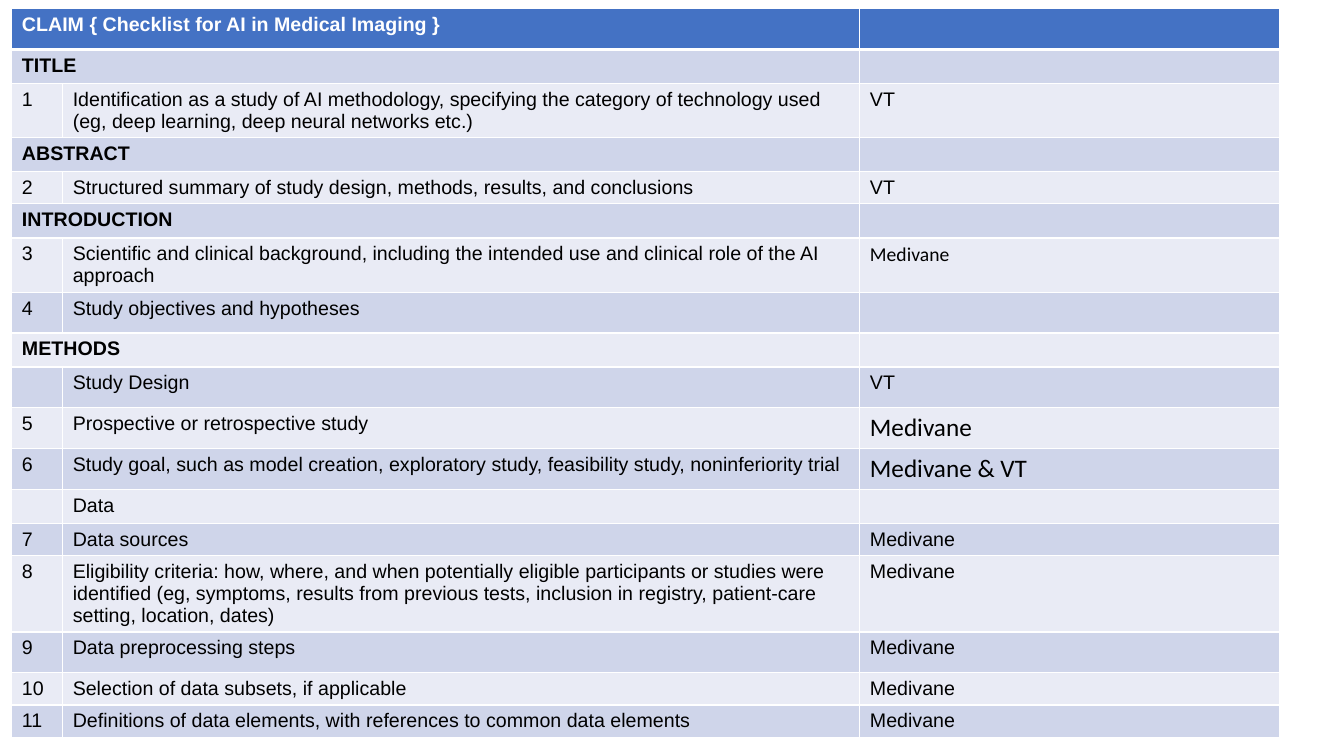
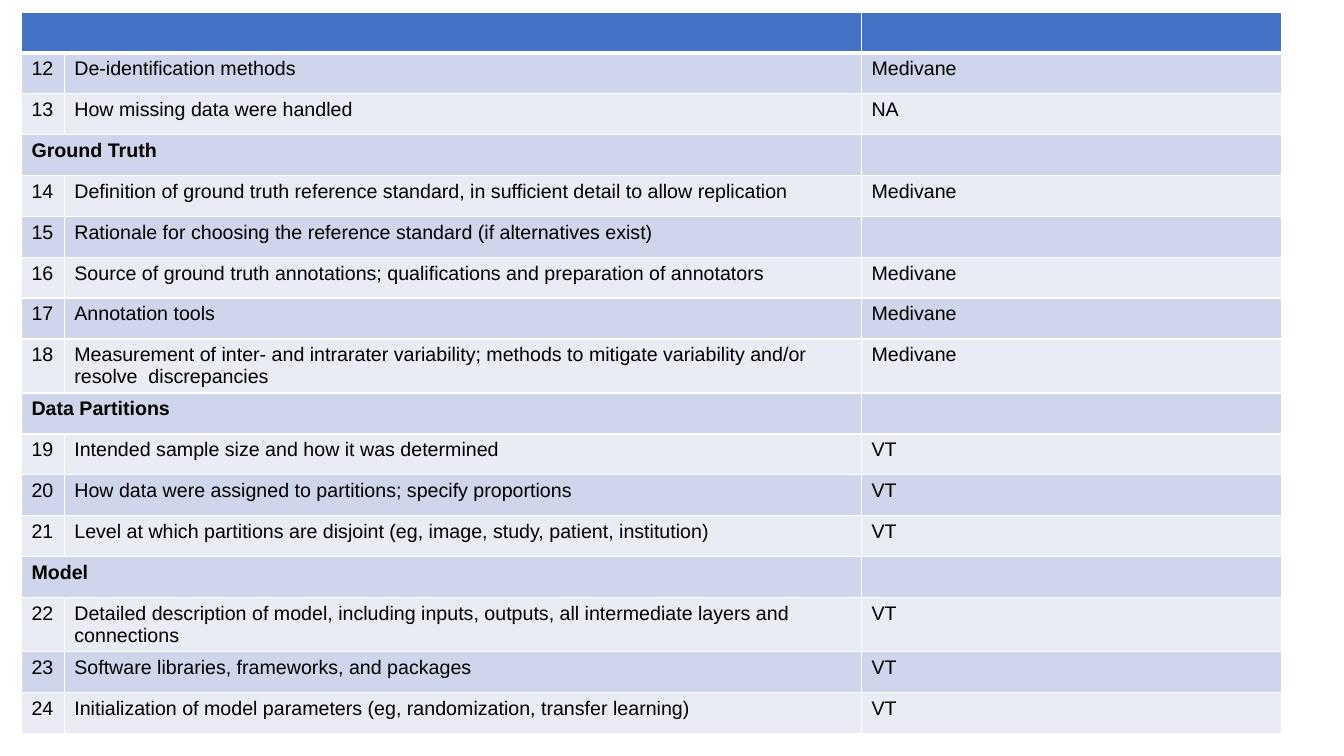
from dataclasses import dataclass

from lxml import etree
from pptx import Presentation
from pptx.dml.color import RGBColor
from pptx.oxml.ns import qn
from pptx.util import Cm, Pt

BLANK_LAYOUT = 6
TALL, MEDIUM, SHORT = 1.03, 0.86, 0.8  # row heights in cm; rows grow with their text


@dataclass(frozen=True)
class Theme:
    header: str = "4472C4"
    bands: tuple = ("E9EBF5", "CFD5EA")  # even rows, odd rows
    border: str = "FFFFFF"
    header_text: str = "FFFFFF"
    body_text: str = "000000"
    font: str = "Arial"
    owner_font: str = "Calibri"
    size: int = 14
    large_size: int = 18
    border_width: float = 1
    header_border_width: float = 3


THEME = Theme()


@dataclass(frozen=True)
class Item:
    """A numbered checklist row and who is responsible for it."""
    number: str
    text: str
    owner: str = ""
    height: float = TALL
    owner_font: str = THEME.font
    owner_size: int = THEME.size


@dataclass(frozen=True)
class Section:
    """A bold heading across the first two columns."""
    text: str
    height: float = TALL


def write_text(cell, text, *, color, font=THEME.font, size=THEME.size, bold=False):
    paragraph = cell.text_frame.paragraphs[0]
    if not text:
        # The size of an empty paragraph still decides the row height
        etree.SubElement(paragraph._p, qn("a:endParaRPr"), sz=str(size * 100))
        return
    run = paragraph.add_run()
    run.text = text
    run.font.name = font
    run.font.size = Pt(size)
    run.font.bold = bold
    run.font.color.rgb = RGBColor.from_string(color)


def set_borders(cell, color, widths):
    """Draw the given sides, named in schema order (lnL, lnR, lnT, lnB)."""
    properties = cell._tc.get_or_add_tcPr()
    for position, (side, width) in enumerate(widths.items()):
        line = etree.Element(qn(f"a:{side}"), w=str(Pt(width)))
        fill = etree.SubElement(line, qn("a:solidFill"))
        etree.SubElement(fill, qn("a:srgbClr"), val=color)
        properties.insert(position, line)


class ChecklistDeck:
    def __init__(self, theme):
        self.theme = theme
        self.presentation = Presentation()
        self.presentation.slide_width = Cm(33.87)
        self.presentation.slide_height = Cm(19.05)
        self.slide = None

    def add_slide(self):
        layout = self.presentation.slide_layouts[BLANK_LAYOUT]
        self.slide = self.presentation.slides.add_slide(layout)

    def add_checklist(self, left, top, column_widths, rows):
        """The first row is the header band."""
        frame = self.slide.shapes.add_table(
            len(rows), len(column_widths), Cm(left), Cm(top),
            Cm(sum(column_widths)), Cm(sum(row.height for row in rows)))
        table = frame.table
        for column, width in zip(table.columns, column_widths):
            column.width = Cm(width)
        for index, row in enumerate(rows):
            table.rows[index].height = Cm(row.height)
            cells = [table.cell(index, column) for column in range(len(column_widths))]
            self.style_row(cells, index)
            self.fill_row(cells, row, is_header=index == 0)

    def style_row(self, cells, index):
        theme = self.theme
        is_header = index == 0
        color = theme.header if is_header else theme.bands[index % 2]
        widths = {"lnL": theme.border_width, "lnR": theme.border_width}
        if is_header:
            widths["lnT"] = theme.border_width
        widths["lnB"] = theme.header_border_width if is_header else theme.border_width
        for cell in cells:
            cell.fill.solid()
            cell.fill.fore_color.rgb = RGBColor.from_string(color)
            set_borders(cell, theme.border, widths)

    def fill_row(self, cells, row, is_header):
        color = self.theme.header_text if is_header else self.theme.body_text
        first, second, owner = cells
        if isinstance(row, Section):
            first.merge(second)
            write_text(first, row.text, color=color, bold=True)
            write_text(second, "", color=color)
            write_text(owner, "", color=color)
        else:
            write_text(first, row.number, color=color)
            write_text(second, row.text, color=color)
            write_text(owner, row.owner, color=color,
                       font=row.owner_font, size=row.owner_size)

    def save(self):
        self.presentation.save("out.pptx")


# Checklist content
PARTNER = "Medivane"
TEAM = "VT"
LARGE_OWNER = {"owner_font": THEME.owner_font, "owner_size": THEME.large_size}

STUDY_ROWS = [
    Section("CLAIM { Checklist for AI in Medical Imaging }"),
    Section("TITLE", SHORT),
    Item("1", "Identification as a study of AI methodology, specifying the category of "
         "technology used (eg, deep learning, deep neural networks etc.)", TEAM),
    Section("ABSTRACT", SHORT),
    Item("2", "Structured summary of study design, methods, results, and conclusions",
         TEAM, SHORT),
    Section("INTRODUCTION", MEDIUM),
    Item("3", "Scientific and clinical background, including the intended use and "
         "clinical role of the AI approach", PARTNER, owner_font=THEME.owner_font),
    Item("4", "Study objectives and hypotheses"),
    Section("METHODS", SHORT),
    Item("", "Study Design", TEAM),
    Item("5", "Prospective or retrospective study", PARTNER, **LARGE_OWNER),
    Item("6", "Study goal, such as model creation, exploratory study, feasibility study, "
         "noninferiority trial", f"{PARTNER} & {TEAM}", **LARGE_OWNER),
    Item("", "Data", height=SHORT),
    Item("7", "Data sources", PARTNER, SHORT),
    Item("8", "Eligibility criteria: how, where, and when potentially eligible "
         "participants or studies were identified (eg, symptoms, results from previous "
         "tests, inclusion in registry, patient-care setting, location, dates)", PARTNER),
    Item("9", "Data preprocessing steps", PARTNER),
    Item("10", "Selection of data subsets, if applicable", PARTNER, SHORT),
    Item("11", "Definitions of data elements, with references to common data elements",
         PARTNER, SHORT),
]

MODEL_ROWS = [
    Section(""),
    Item("12", "De-identification methods", PARTNER),
    Item("13", "How missing data were handled", "NA"),
    Section("Ground Truth"),
    Item("14", "Definition of ground truth reference standard, in sufficient detail to "
         "allow replication", PARTNER),
    Item("15", "Rationale for choosing the reference standard (if alternatives exist)"),
    Item("16", "Source of ground truth annotations; qualifications and preparation of "
         "annotators", PARTNER),
    Item("17", "Annotation tools", PARTNER),
    Item("18", "Measurement of inter- and intrarater variability; methods to mitigate "
         "variability and/or resolve  discrepancies", PARTNER),
    Section("Data Partitions"),
    Item("19", "Intended sample size and how it was determined", TEAM),
    Item("20", "How data were assigned to partitions; specify proportions", TEAM),
    Item("21", "Level at which partitions are disjoint (eg, image, study, patient, "
         "institution)", TEAM),
    Section("Model"),
    Item("22", "Detailed description of model, including inputs, outputs, all "
         "intermediate layers and connections", TEAM),
    Item("23", "Software libraries, frameworks, and packages", TEAM),
    Item("24", "Initialization of model parameters (eg, randomization, transfer learning)",
         TEAM),
]


def main():
    deck = ChecklistDeck(THEME)

    # Slide 1: title to data
    deck.add_slide()
    deck.add_checklist(0.3, 0.22, (1.28, 20.09, 10.57), STUDY_ROWS)

    # Slide 2: data to model
    deck.add_slide()
    deck.add_checklist(0.54, 0.3, (1.08, 20.09, 10.58), MODEL_ROWS)

    deck.save()


if __name__ == "__main__":
    main()
